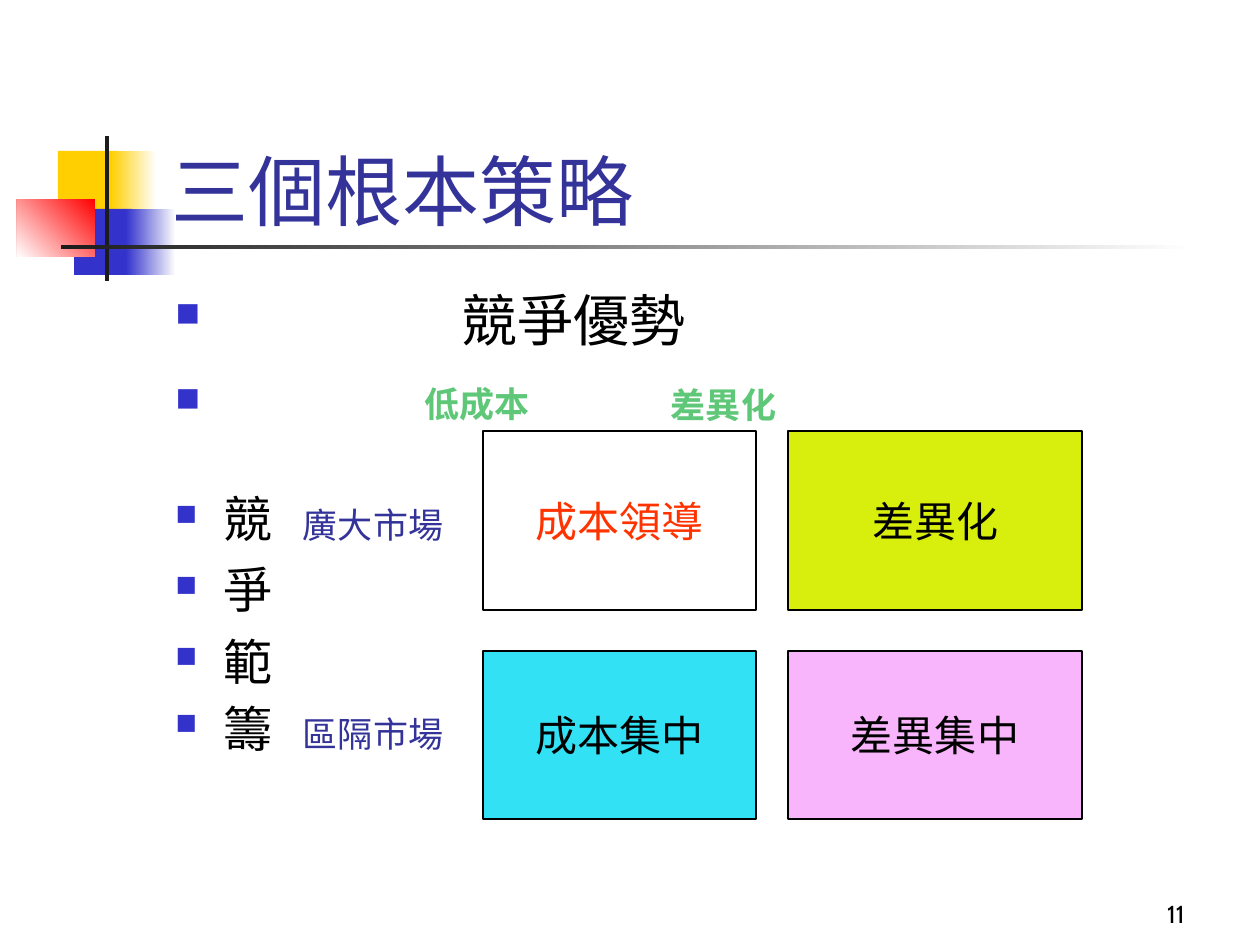
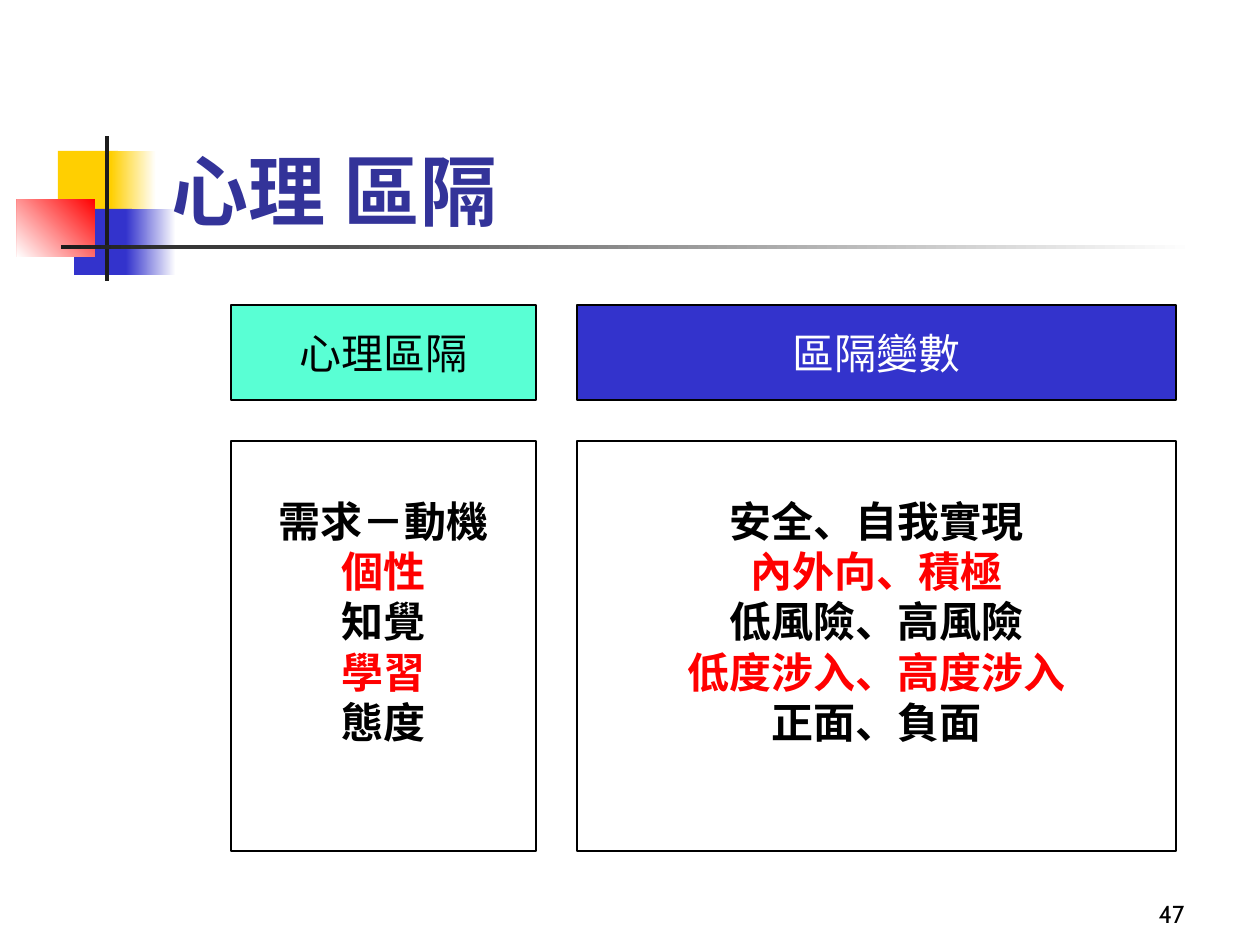
from dataclasses import dataclass

from lxml import etree
from pptx import Presentation
from pptx.dml.color import RGBColor
from pptx.enum.shapes import MSO_SHAPE
from pptx.enum.text import MSO_ANCHOR as Anchor, MSO_AUTO_SIZE as AutoSize, PP_ALIGN as Align
from pptx.oxml.ns import qn
from pptx.util import Pt

EMU_PER_PX = 914400 / 126
TITLE_ONLY = 5
FONT = "Cabin"
COLORS = {
    "white": "FFFFFF", "black": "000000", "ink": "1C1C1C", "navy": "333399",
    "blue": "3333CC", "yellow": "FFCF01", "red": "FF0000", "orange": "FF3300",
    "green": "5FC778", "lime": "D8EE0C", "cyan": "32E2F4", "pink": "F9B5FB",
    "mint": "59FFD4",
}


@dataclass(frozen=True)
class Frame:
    left: int
    top: int
    width: int
    height: int

    def emu(self) -> list[int]:
        return [px(n) for n in (self.left, self.top, self.width, self.height)]


@dataclass(frozen=True)
class Ornament:
    frame: Frame
    color: str
    fade_angle: int | None = None  # counter-clockwise, fades to white


@dataclass(frozen=True)
class Line:
    text: str
    size: int = 24
    color: str = "black"
    bold: bool = False
    space_before: int = 0
    bullet_indent: int = 0
    bullet_percent: int = 60


@dataclass(frozen=True)
class Box:
    frame: Frame
    fill: str
    lines: tuple[Line, ...]
    bottom_inset: int = 6


ORNAMENTS = (
    Ornament(Frame(58, 151, 60, 66), "yellow"),
    Ornament(Frame(111, 151, 45, 66), "yellow", 0),
    Ornament(Frame(74, 209, 58, 66), "blue"),
    Ornament(Frame(126, 209, 50, 66), "blue", 0),
    Ornament(Frame(17, 199, 78, 58), "red", 225),
    Ornament(Frame(105, 136, 4, 145), "ink"),
    Ornament(Frame(61, 245, 1134, 4), "ink", 0),
)
TITLE_FRAME = Frame(159, 84, 1074, 158)
NUMBER_FRAME = Frame(935, 872, 262, 63)


def px(length: int) -> int:
    return round(length * EMU_PER_PX)


def rgb(color: str) -> RGBColor:
    return RGBColor.from_string(COLORS[color])


def style_font(font, size: int, color: str, bold: bool = False, name: str = FONT) -> None:
    font.name, font.size, font.bold = name, Pt(size), bold
    font.color.rgb = rgb(color)


def add_bullet(paragraph, indent: int, percent: int) -> None:
    properties = paragraph._p.get_or_add_pPr()
    properties.set("marL", str(px(indent)))
    properties.set("indent", str(-px(indent)))
    color = etree.SubElement(properties, qn("a:buClr"))
    etree.SubElement(color, qn("a:srgbClr"), val=COLORS["blue"])
    etree.SubElement(properties, qn("a:buSzPct"), val=str(percent * 1000))
    etree.SubElement(properties, qn("a:buChar"), char="■")


def write_lines(text_frame, lines: tuple[Line, ...], align=Align.LEFT) -> None:
    for index, line in enumerate(lines):
        paragraph = text_frame.add_paragraph() if index else text_frame.paragraphs[0]
        paragraph.text = line.text
        paragraph.alignment = align
        if line.bullet_indent:
            add_bullet(paragraph, line.bullet_indent, line.bullet_percent)
        if line.space_before:
            paragraph.space_before = Pt(line.space_before)
        style_font(paragraph.font, line.size, line.color, line.bold)


def add_rectangle(slide, frame: Frame):
    shape = slide.shapes.add_shape(MSO_SHAPE.RECTANGLE, *frame.emu())
    shape.shadow.inherit = False
    return shape


def add_ornament(slide, ornament: Ornament) -> None:
    shape = add_rectangle(slide, ornament.frame)
    shape.line.fill.background()
    if ornament.fade_angle is None:
        shape.fill.solid()
        shape.fill.fore_color.rgb = rgb(ornament.color)
        return
    shape.fill.gradient()
    shape.fill.gradient_angle = ornament.fade_angle
    for stop, color in zip(shape.fill.gradient_stops, (ornament.color, "white")):
        stop.color.rgb = rgb(color)


def add_box(slide, box: Box) -> None:
    shape = add_rectangle(slide, box.frame)
    shape.fill.solid()
    shape.fill.fore_color.rgb = rgb(box.fill)
    shape.line.color.rgb = rgb("black")
    shape.line.width = Pt(0.75)
    text_frame = shape.text_frame
    text_frame.word_wrap = False
    text_frame.vertical_anchor = Anchor.MIDDLE
    text_frame.margin_bottom = px(box.bottom_inset)
    write_lines(text_frame, box.lines, Align.CENTER)


def add_text(slide, frame: Frame, lines: tuple[Line, ...], align=Align.LEFT,
             anchor=Anchor.TOP) -> None:
    text_frame = slide.shapes.add_textbox(*frame.emu()).text_frame
    text_frame.word_wrap = True
    text_frame.vertical_anchor = anchor
    write_lines(text_frame, lines, align)


def add_label(slide, left: int, top: int, line: Line) -> None:
    text_frame = slide.shapes.add_textbox(*Frame(left, top, 150, 42).emu()).text_frame
    text_frame.margin_left = text_frame.margin_right = 0
    text_frame.margin_top = text_frame.margin_bottom = 0
    write_lines(text_frame, (line,))


def add_titled_slide(presentation, title: str, number: int, font: str = FONT,
                     bold: bool = False):
    slide = presentation.slides.add_slide(presentation.slide_layouts[TITLE_ONLY])
    shape = slide.shapes.title
    for ornament in ORNAMENTS:
        add_ornament(slide, ornament)
    slide.shapes._spTree.append(shape._element)  # title in front of the ornaments
    shape.left, shape.top, shape.width, shape.height = TITLE_FRAME.emu()
    text_frame = shape.text_frame
    text_frame.text = title
    text_frame.auto_size = AutoSize.NONE
    text_frame.vertical_anchor = Anchor.BOTTOM
    paragraph = text_frame.paragraphs[0]
    paragraph.alignment = Align.LEFT
    style_font(paragraph.font, 44, "navy", bold, font)
    add_text(slide, NUMBER_FRAME, (Line(str(number), 14),), Align.RIGHT, Anchor.BOTTOM)
    return slide


def build_strategies(presentation) -> None:
    slide = add_titled_slide(presentation, "三個根本策略", 11)

    # Axis headings and the scope axis, one character a line
    scope = zip("競爭範籌", (37, 7, 7, 5))
    add_text(slide, Frame(163, 279, 1071, 567), (
        Line("競爭優勢", 32, bullet_indent=286),
        Line("低成本", 20, "green", True, 17, 249, 96),
        *(Line(text, 28, space_before=space, bullet_indent=48) for text, space in scope),
    ))
    add_label(slide, 671, 383, Line("差異化", 20, "green", True))
    for text, top in (("廣大市場", 503), ("區隔市場", 712)):
        add_label(slide, 303, top, Line(text, 20, "navy"))

    # Strategy matrix
    columns = ((483, 273), (788, 294))
    rows = ((431, 179), (651, 168))
    cells = (
        ("成本領導", "white", "orange"), ("差異化", "lime", "black"),
        ("成本集中", "cyan", "black"), ("差異集中", "pink", "black"),
    )
    for index, (text, fill, color) in enumerate(cells):
        (top, height), (left, width) = rows[index // 2], columns[index % 2]
        add_box(slide, Box(Frame(left, top, width, height), fill, (Line(text, color=color),)))


def build_segmentation(presentation) -> None:
    slide = add_titled_slide(presentation, "心理 區隔", 47, "Lato", True)

    # One header and one list a column, lines alternating black and red
    columns = (
        (231, 305, "心理區隔", "mint", "black",
         ("需求－動機", "個性", "知覺", "學習", "態度")),
        (577, 599, "區隔變數", "blue", "white",
         ("安全、自我實現", "內外向、積極", "低風險、高風險", "低度涉入、高度涉入", "正面、負面")),
    )
    for left, width, heading, fill, color, items in columns:
        add_box(slide, Box(Frame(left, 305, width, 95), fill, (Line(heading, color=color),)))
        lines = tuple(Line(item, color=("black", "red")[index % 2], bold=True)
                      for index, item in enumerate(items))
        add_box(slide, Box(Frame(left, 441, width, 410), "white", lines, bottom_inset=56))


def main() -> None:
    presentation = Presentation()
    presentation.slide_width, presentation.slide_height = px(1260), px(945)
    build_strategies(presentation)
    build_segmentation(presentation)
    presentation.save("out.pptx")


if __name__ == "__main__":
    main()
